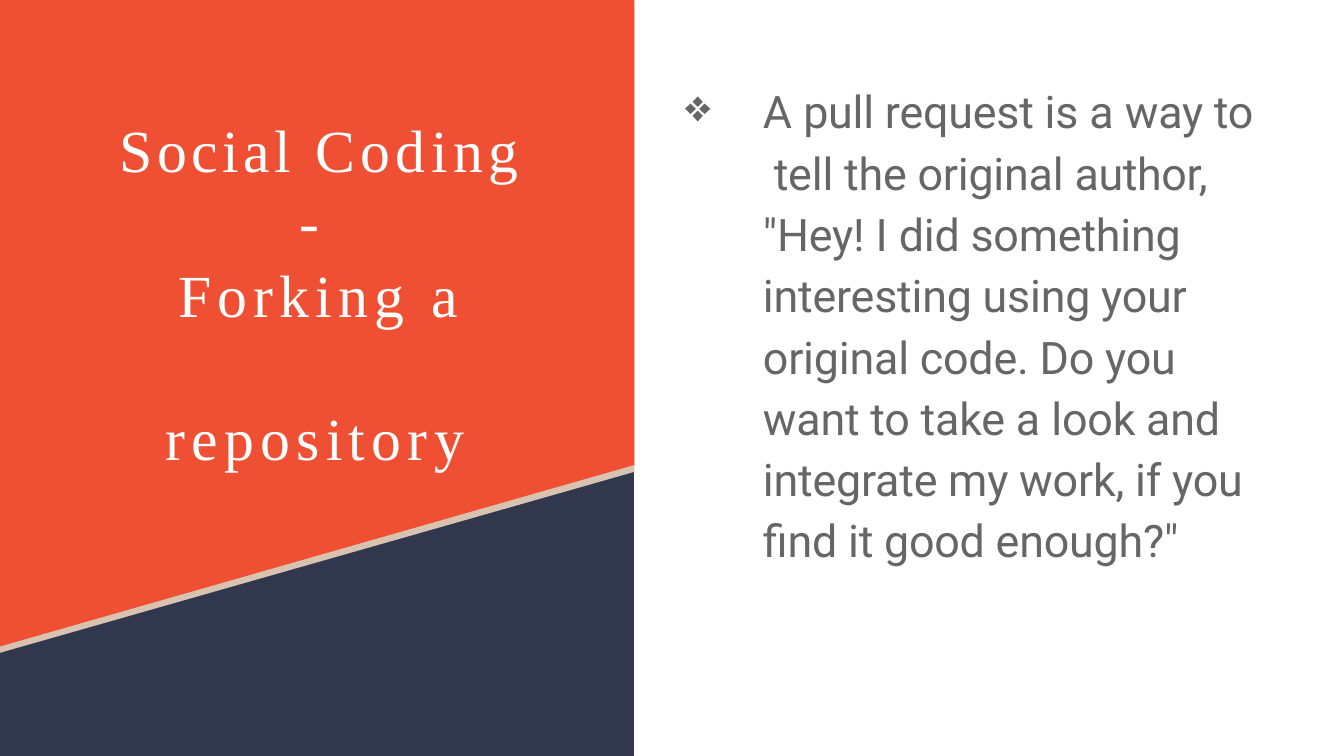
import copy

import pptx
import pptx.util
import pptx.dml.color
import pptx.enum.text
import pptx.oxml
import lxml.etree
from pptx.util import Cm, Pt

NAVY = pptx.dml.color.RGBColor(0x31, 0x38, 0x4D)
SAND = pptx.dml.color.RGBColor(0xD8, 0xC3, 0xB1)
ORANGE = pptx.dml.color.RGBColor(0xEF, 0x50, 0x33)
WHITE = pptx.dml.color.RGBColor(0xFF, 0xFF, 0xFF)
GREY = pptx.dml.color.RGBColor(0x66, 0x66, 0x66)

SLIDE_WIDTH, SLIDE_HEIGHT = 25.4, 14.29
PANEL_WIDTH = 11.99

PANELS = [
    (NAVY, 0, SLIDE_HEIGHT, SLIDE_HEIGHT),
    (SAND, 0.13, 8.92, 12.34),
    (ORANGE, 0, 8.79, 12.22),
]

HEADING_STYLE = ("Times New Roman", 32, WHITE)
BODY_STYLE = ("Roboto", 24, GREY)

HEADINGS = [
    ((2.26, 2.11, 7.8, 1.42), 0.03, [
        {"before": 1, "runs": [("Social ", 2.4), ("Coding", 2.9)]},
    ]),
    ((5.66, 3.45, 0.71, 1.42), 0.03, [
        {"before": 1, "runs": [("-", 9.4)]},
    ]),
    ((3.12, 4.8, 5.79, 2.77), 0.08, [
        {"before": 2.4, "line": Pt(38.2), "indent": (0, 0.25),
         "runs": [("Forking ", 3.3), ("a", 3.7)]},
        {"before": 38.2, "line": Pt(38.2), "runs": [("repository", 3.4)]},
    ]),
]

PULL_REQUEST = ((12.9, 1.42, 10.87, 9.37), 0.03, [
    {"before": 1, "line": 1.14, "indent": (1.52, -1.47), "bullet": "❖", "runs": [
        ("A ", 0), ("pull request is ", -0.1), ("a ", 0), ("way to", -0.1),
        None,
        (" tell the original ", -0.1), ("author, ", -0.2), ("\"Hey! ", -0.1),
        ("I ", 0),
        ("did something interesting using your original code. "
         "Do you want to take ", -0.1),
        ("a ", 0),
        ("look and integrate my work, if you ﬁnd it good enough?\"", -0.1),
    ]},
])


def add_panel(group, color, top, right_bottom, left_bottom):
    corners = [(0, top), (PANEL_WIDTH, top),
               (PANEL_WIDTH, right_bottom), (0, left_bottom)]
    points = [(Cm(x), Cm(y)) for x, y in corners]
    builder = group.shapes.build_freeform(*points[0])
    builder.add_line_segments(points[1:], close=True)
    panel = builder.convert_to_shape()
    panel.shadow.inherit = False
    panel.fill.solid()
    panel.fill.fore_color.rgb = color
    panel.line.fill.background()


def fill_paragraph(paragraph, content, style):
    font_name, size, color = style
    paragraph.space_before = Pt(content["before"])
    if "line" in content:
        paragraph.line_spacing = content["line"]
    properties = paragraph._p.get_or_add_pPr()
    margin, indent = content.get("indent", (0, 0))
    properties.set("marL", str(Cm(margin)))
    properties.set("indent", str(Cm(indent)))
    if "bullet" in content:
        bullet = lxml.etree.SubElement(properties, pptx.oxml.ns.qn("a:buChar"))
        bullet.set("char", content["bullet"])
    for piece in content["runs"]:
        if piece is None:
            paragraph.add_line_break()
            paragraph._p[-1].append(copy.deepcopy(run._r.get_or_add_rPr()))
            continue
        run = paragraph.add_run()
        run.text, spacing = piece
        run.font.name = font_name
        run.font.size = Pt(size)
        run.font.color.rgb = color
        run._r.get_or_add_rPr().set("spc", str(round(spacing * 100)))


def add_text(slide, place, top_inset, paragraphs, style):
    frame = slide.shapes.add_textbox(*map(Cm, place)).text_frame
    frame.word_wrap = True
    frame.auto_size = pptx.enum.text.MSO_AUTO_SIZE.SHAPE_TO_FIT_TEXT
    frame.margin_left = frame.margin_right = frame.margin_bottom = 0
    frame.margin_top = Cm(top_inset)
    for number, content in enumerate(paragraphs):
        paragraph = frame.add_paragraph() if number else frame.paragraphs[0]
        fill_paragraph(paragraph, content, style)


def main():
    deck = pptx.Presentation()
    deck.slide_width, deck.slide_height = Cm(SLIDE_WIDTH), Cm(SLIDE_HEIGHT)
    slide = deck.slides.add_slide(deck.slide_layouts[6])
    backdrop = slide.shapes.add_group_shape()
    for panel in PANELS:
        add_panel(backdrop, *panel)
    for heading in HEADINGS:
        add_text(slide, *heading, HEADING_STYLE)
    add_text(slide, *PULL_REQUEST, BODY_STYLE)
    deck.save("out.pptx")


if __name__ == "__main__":
    main()
